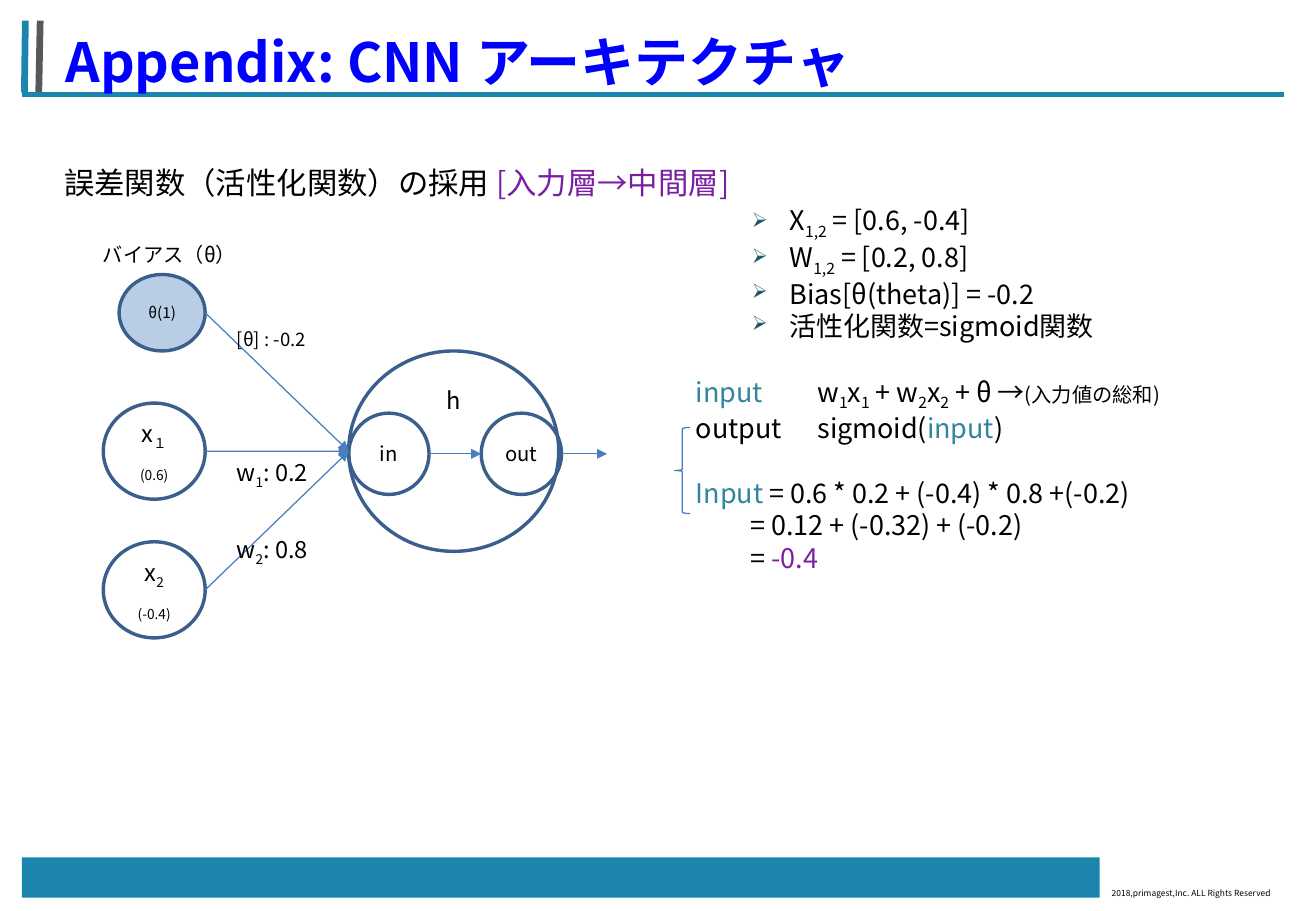
"""Build the appendix slide on the CNN activation step."""
from dataclasses import dataclass

from lxml import etree
from pptx import Presentation
from pptx.dml.color import RGBColor
from pptx.enum.shapes import MSO_CONNECTOR, MSO_SHAPE
from pptx.enum.text import MSO_ANCHOR, MSO_AUTO_SIZE, PP_ALIGN
from pptx.oxml.ns import qn
from pptx.util import Cm, Pt

OVAL, BAR, BRACE = MSO_SHAPE.OVAL, MSO_SHAPE.RECTANGLE, MSO_SHAPE.LEFT_BRACE
STRAIGHT = MSO_CONNECTOR.STRAIGHT
TOP, MIDDLE = MSO_ANCHOR.TOP, MSO_ANCHOR.MIDDLE
LEFT, CENTER = PP_ALIGN.LEFT, PP_ALIGN.CENTER
GROW = MSO_AUTO_SIZE.SHAPE_TO_FIT_TEXT

FONT = "Noto Sans CJK JP"
COLORS = {
    "black": "000000", "title": "0000FF", "accent": "7B1FA2", "input": "31859C",
    "bullet": "215968", "teal": "1B85AD", "gray": "55595B",
    "outline": "3A5F8C", "arrow": "4B7EBC", "bias": "B9CDE5",
}


@dataclass(frozen=True)
class Span:
    text: str
    size: float
    color: str = "black"
    sub: bool = False
    bold: bool = False


@dataclass(frozen=True)
class Para:
    spans: list[Span]
    indent: float = 0
    tab: float = 0
    before: float = 0
    bullet: bool = False


@dataclass(frozen=True)
class Label:
    box: tuple[float, float, float, float]
    paras: list[Para]
    anchor: MSO_ANCHOR = TOP


@dataclass(frozen=True)
class Node:
    box: tuple[float, float, float, float]
    paras: list[Para]
    fill: str = ""
    anchor: MSO_ANCHOR = MIDDLE

    @property
    def left_mid(self) -> tuple[float, float]:
        left, top, _, height = self.box
        return left, top + height / 2

    @property
    def right_mid(self) -> tuple[float, float]:
        left, top, width, height = self.box
        return left + width, top + height / 2


@dataclass(frozen=True)
class Stroke:
    start: tuple[float, float]
    end: tuple[float, float]
    color: str = "arrow"
    weight: float = 0.75
    arrow: bool = True


def rgb(name: str) -> RGBColor:
    return RGBColor.from_string(COLORS[name])


def single(text: str, size: float, color: str = "black", bold: bool = False) -> Para:
    return Para([Span(text, size, color, bold=bold)])


def indexed(pattern: str, size: float) -> list[Span]:
    """Split text at underscores; every second piece is a subscript."""
    return [Span(piece, size, sub=i % 2 == 1) for i, piece in enumerate(pattern.split("_"))]


def add_paragraph_marks(paragraph, para: Para) -> None:
    properties = paragraph._p.get_or_add_pPr()
    properties.set("marL", str(Cm(para.indent)))
    properties.set("indent", str(-Cm(para.indent) if para.bullet else 0))
    if para.bullet:
        color = etree.SubElement(properties, qn("a:buClr"))
        etree.SubElement(color, qn("a:srgbClr"), val=COLORS["bullet"])
        etree.SubElement(properties, qn("a:buSzPct"), val="75000")
        etree.SubElement(properties, qn("a:buChar"), char="➢")
    if para.tab:
        stops = etree.SubElement(properties, qn("a:tabLst"))
        etree.SubElement(stops, qn("a:tab"), pos=str(Cm(para.tab)), algn="l")


def write(frame, paras: list[Para], align: PP_ALIGN) -> None:
    for i, para in enumerate(paras):
        paragraph = frame.paragraphs[0] if i == 0 else frame.add_paragraph()
        add_paragraph_marks(paragraph, para)
        paragraph.alignment = align
        if para.before:
            paragraph.space_before = Pt(para.before)
        for span in para.spans:
            run = paragraph.add_run()
            run.text = span.text
            formats = {"name": FONT, "size": Pt(span.size), "bold": span.bold}
            for key, value in formats.items():
                setattr(run.font, key, value)
            run.font.color.rgb = rgb(span.color)
            properties = run._r.get_or_add_rPr()
            etree.SubElement(properties, qn("a:ea"), typeface=FONT)
            if span.sub:
                properties.set("baseline", "-25000")


def draw_shape(slide, kind: MSO_SHAPE, box, fill: str = "", line: str = "", weight: float = 1):
    shape = slide.shapes.add_shape(kind, *map(Cm, box))
    shape.shadow.inherit = False
    if fill:
        shape.fill.solid()
        shape.fill.fore_color.rgb = rgb(fill)
    else:
        shape.fill.background()
    if line:
        shape.line.color.rgb = rgb(line)
        shape.line.width = Pt(weight)
    else:
        shape.line.fill.background()
    return shape


def draw_node(slide, node: Node) -> None:
    frame = draw_shape(slide, OVAL, node.box, node.fill, "outline", 2).text_frame
    formats = {"margin_left": 0, "margin_right": 0, "word_wrap": True,
               "vertical_anchor": node.anchor}
    for key, value in formats.items():
        setattr(frame, key, value)
    write(frame, node.paras, CENTER)


def draw_label(slide, label: Label) -> None:
    frame = slide.shapes.add_textbox(*map(Cm, label.box)).text_frame
    formats = {"word_wrap": True, "auto_size": GROW, "vertical_anchor": label.anchor}
    for key, value in formats.items():
        setattr(frame, key, value)
    write(frame, label.paras, LEFT)


def draw_stroke(slide, stroke: Stroke) -> None:
    connector = slide.shapes.add_connector(STRAIGHT, *map(Cm, stroke.start + stroke.end))
    connector.line.color.rgb = rgb(stroke.color)
    connector.line.width = Pt(stroke.weight)
    properties = connector._element.spPr
    if stroke.arrow:
        etree.SubElement(properties.find(qn("a:ln")), qn("a:tailEnd"), type="triangle")
    etree.SubElement(properties, qn("a:effectLst"))


def main() -> None:
    deck = Presentation()
    deck.slide_width, deck.slide_height = Cm(27.51), Cm(19.05)
    slide = deck.slides.add_slide(deck.slide_layouts[6])

    theta = Node((2.49, 5.74, 1.8, 1.6), [single("θ(1)", 9)], "bias")
    x1, x2 = (
        Node((2.16, top, 2.13, 2.01),
             [Para(indexed(f"x_{index}", 14)), Para([Span(value, 14, sub=True)])])
        for top, index, value in ((8.43, "１", "(0.6)"), (11.33, "2", "(-0.4)"))
    )
    hidden = Node((7.29, 7.34, 4.39, 4.19), [single("h", 14)], anchor=TOP)
    net_in, net_out = (
        Node((left, 8.64, 1.68, 1.7), [single(text, 12)])
        for left, text in ((7.29, "in"), (10.06, "out"))
    )
    out_x, out_y = net_out.right_mid

    strokes = [
        Stroke((0.51, 1.93), (0.53, 0.43), "teal", 4, False),
        Stroke((0.81, 1.93), (0.84, 0.43), "gray", 4, False),
        Stroke((0.46, 1.98), (26.85, 1.98), "teal", 2.75, False),
        *(Stroke(source.right_mid, hidden.left_mid) for source in (theta, x1, x2)),
        Stroke(net_in.right_mid, net_out.left_mid),
        Stroke((out_x, out_y), (out_x + 0.95, out_y)),
    ]
    settings = ["X_1,2_ = [0.6, -0.4]", "W_1,2_ = [0.2, 0.8]",
                "Bias[θ(theta)] = -0.2", "活性化関数=sigmoid関数"]
    formulas = [
        Para([Span("input", 16, "input"), *indexed("\tw_1_x_1_ + w_2_x_2_ + θ →", 16),
              Span("(入力値の総和)", 12)], tab=1.68),
        Para([Span("output\tsigmoid(", 16), Span("input", 16, "input"), Span(")", 16)], tab=2.05),
        Para([Span("Input", 16, "input"), Span(" = 0.6 * 0.2 + (-0.4) * 0.8 +(-0.2)", 16)],
             before=19),
        Para([Span("= 0.12 + (-0.32) + (-0.2)", 16)], indent=1.14),
        Para([Span("= ", 16), Span("-0.4", 16, "accent")], indent=1.14),
    ]
    labels = [
        Label((22.99, 18.44, 4.11, 0.48),
              [single("2018,primagest,Inc. ALL Rights Reserved", 5)], MIDDLE),
        Label((14.3, 7.72, 10.59, 4.37), formulas),
        Label((4.7, 9.45, 2.06, 0.86), [Para(indexed("w_1_: 0.2", 14))]),
        Label((4.7, 11.07, 2.06, 0.86), [Para(indexed("w_2_: 0.8", 14))]),
        Label((4.7, 6.73, 2.26, 0.74), [single("[θ] : -0.2", 11)]),
        Label((15.47, 4.14, 7.77, 3),
              [Para(indexed(text, 16), indent=0.79, bullet=True) for text in settings]),
        Label((1.09, 3.3, 14.66, 1.02),
              [Para([Span("誤差関数（活性化関数）の採用 ", 18),
                     Span("[入力層→中間層]", 18, "accent")])]),
        Label((1.9, 4.95, 3.51, 0.76), [single("バイアス（θ）", 12)]),
        Label((1.12, 0.48, 18.01, 1.63),
              [single("Appendix: CNN アーキテクチャ", 32, "title", True)]),
    ]

    draw_shape(slide, BAR, (0.46, 17.93, 22.53, 0.84), "teal")
    draw_shape(slide, BRACE, (14.1, 8.94, 0.33, 1.8), line="arrow", weight=0.75)
    for node in (x1, x2, hidden, theta, net_out, net_in):
        draw_node(slide, node)
    for stroke in strokes:
        draw_stroke(slide, stroke)
    for label in labels:
        draw_label(slide, label)
    deck.save("out.pptx")


if __name__ == "__main__":
    main()
